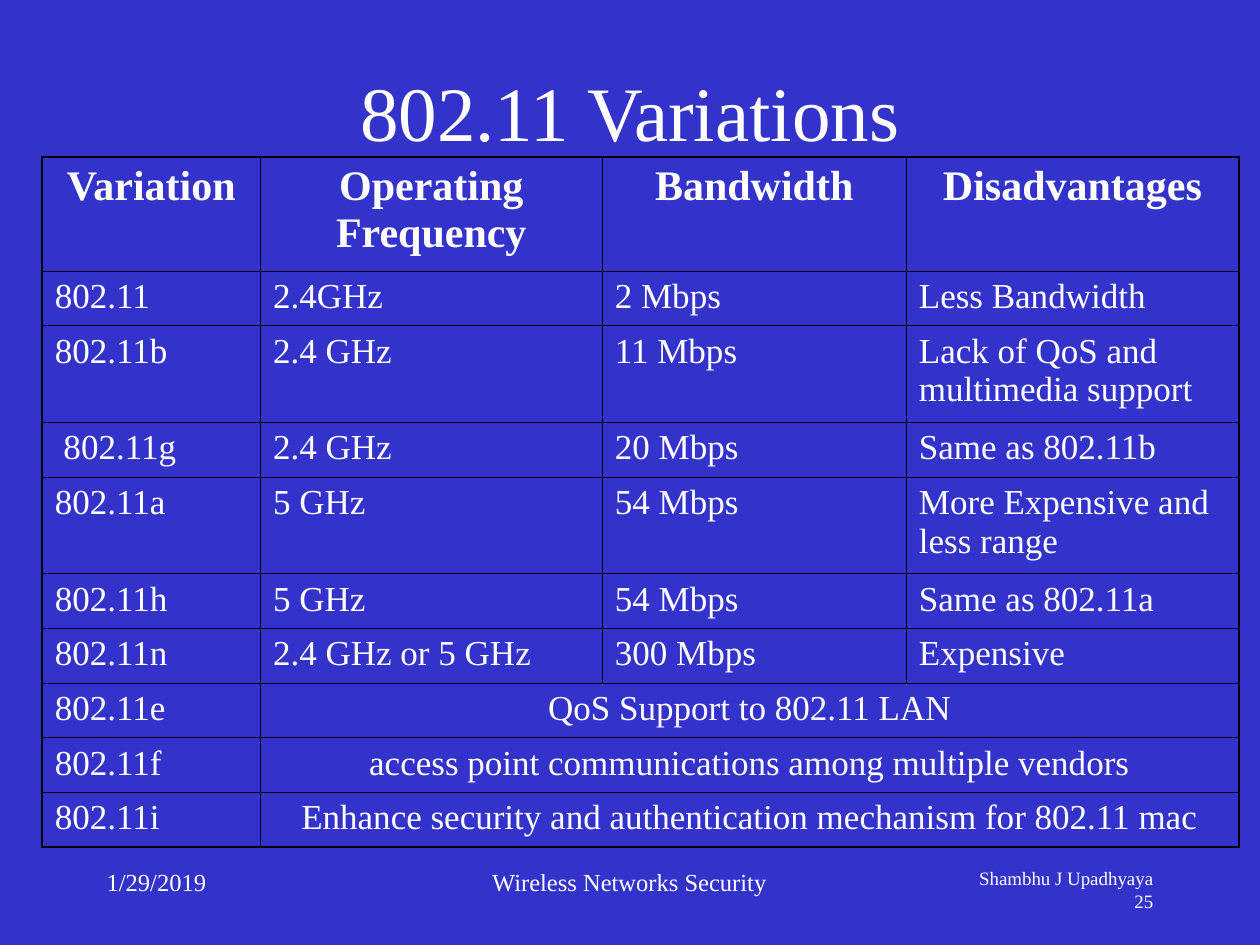
from lxml.etree import SubElement
from pptx import Presentation
from pptx.dml.color import RGBColor
from pptx.enum.text import MSO_ANCHOR, PP_ALIGN
from pptx.oxml.ns import qn
from pptx.util import Cm, Pt

BLUE = RGBColor(0x33, 0x33, 0xCC)
WHITE = RGBColor(0xFF, 0xFF, 0xFF)
BLACK = RGBColor(0x00, 0x00, 0x00)
FONT = "Times New Roman"
THIN, THICK = Pt(0.45), Pt(1.08)

COLUMN_WIDTHS = [4.4, 6.89, 6.13, 6.7]
HEADER_HEIGHT, SINGLE_HEIGHT, DOUBLE_HEIGHT = 2.29, 1.1, 1.95
TWO_LINE_ROWS = (2, 4)
VARIATIONS = [
    ["Variation", "Operating Frequency", "Bandwidth", "Disadvantages"],
    ["802.11", "2.4GHz", "2 Mbps", "Less Bandwidth"],
    ["802.11b", "2.4 GHz", "11 Mbps", "Lack of QoS and multimedia support"],
    [" 802.11g", "2.4 GHz", "20 Mbps", "Same as 802.11b"],
    ["802.11a", "5 GHz", "54 Mbps", "More Expensive and less range"],
    ["802.11h", "5 GHz", "54 Mbps", "Same as 802.11a"],
    ["802.11n", "2.4 GHz or 5 GHz", "300 Mbps", "Expensive"],
    ["802.11e", "QoS Support to 802.11 LAN"],
    ["802.11f", "access point communications among multiple vendors"],
    ["802.11i", "Enhance security and authentication mechanism for 802.11 mac"],
]


def style_paragraph(paragraph, size, alignment, bold=False):
    """Set the font and alignment of a paragraph."""
    paragraph.alignment = alignment
    paragraph.font.name = FONT
    paragraph.font.size = Pt(size)
    paragraph.font.bold = bold
    paragraph.font.color.rgb = WHITE


def add_text(slide, box, text, size, alignment, anchor=MSO_ANCHOR.TOP):
    """Add a wrapped text box, one paragraph per line of text."""
    frame = slide.shapes.add_textbox(*map(Cm, box)).text_frame
    frame.word_wrap = True
    frame.vertical_anchor = anchor
    frame.text = text
    for paragraph in frame.paragraphs:
        style_paragraph(paragraph, size, alignment)


def set_borders(cell, widths):
    """Draw the left, right, top and bottom borders of a cell."""
    properties = cell._tc.get_or_add_tcPr()
    for index, (side, width) in enumerate(zip("LRTB", widths)):
        line = SubElement(properties, qn(f"a:ln{side}"), w=str(width))
        fill = SubElement(line, qn("a:solidFill"))
        SubElement(fill, qn("a:srgbClr"), val=str(BLACK))
        properties.insert(index, line)


def add_variations_table(slide, box):
    """Add the table of variations, with short rows merged to the right edge."""
    row_count, column_count = len(VARIATIONS), len(COLUMN_WIDTHS)
    table = slide.shapes.add_table(row_count, column_count, *map(Cm, box)).table
    table.first_row = table.horz_banding = False
    for column, width in zip(table.columns, COLUMN_WIDTHS):
        column.width = Cm(width)

    for row, texts in enumerate(VARIATIONS):
        header = row == 0
        merged = len(texts) < column_count
        height = DOUBLE_HEIGHT if row in TWO_LINE_ROWS else SINGLE_HEIGHT
        table.rows[row].height = Cm(HEADER_HEIGHT if header else height)
        if merged:
            table.cell(row, 1).merge(table.cell(row, column_count - 1))

        for column in range(column_count):
            cell = table.cell(row, column)
            cell.fill.background()
            at_right = column == column_count - 1 or (merged and column > 0)
            edges = (column == 0, at_right, header, row == row_count - 1)
            set_borders(cell, [THICK if edge else THIN for edge in edges])
            if column < len(texts):
                cell.text = texts[column]
                centred = header or (merged and column > 0)
                alignment = PP_ALIGN.CENTER if centred else PP_ALIGN.LEFT
                size = 24 if header else 20
                style_paragraph(cell.text_frame.paragraphs[0], size, alignment, header)


def add_footer(slide, box):
    """Add the date, the course name and the author with the page number."""
    left, top, width, height = box
    author_width = 5.72
    add_text(slide, (left, top, 5.29, height), "1/29/2019", 14, PP_ALIGN.LEFT)
    add_text(slide, (left + 6.77, top, 8.04, height),
             "Wireless Networks Security", 14, PP_ALIGN.CENTER)
    add_text(slide, (left + width - author_width, top, author_width, height),
             "Shambhu J Upadhyaya\n25", 10.8, PP_ALIGN.RIGHT)


def main():
    """Build and save the slide."""
    presentation = Presentation()
    presentation.slide_width, presentation.slide_height = Cm(25.4), Cm(19.05)
    slide = presentation.slides.add_slide(presentation.slide_layouts[6])
    slide.background.fill.solid()
    slide.background.fill.fore_color.rgb = BLUE

    add_text(slide, (1.9, 0.64, 21.6, 3.18), "802.11 Variations", 44,
             PP_ALIGN.CENTER, MSO_ANCHOR.MIDDLE)
    add_footer(slide, (1.9, 17.35, 21.6, 1.27))
    add_variations_table(slide, (0.85, 3.17, 24.12, 13.89))
    presentation.save("out.pptx")


if __name__ == "__main__":
    main()
